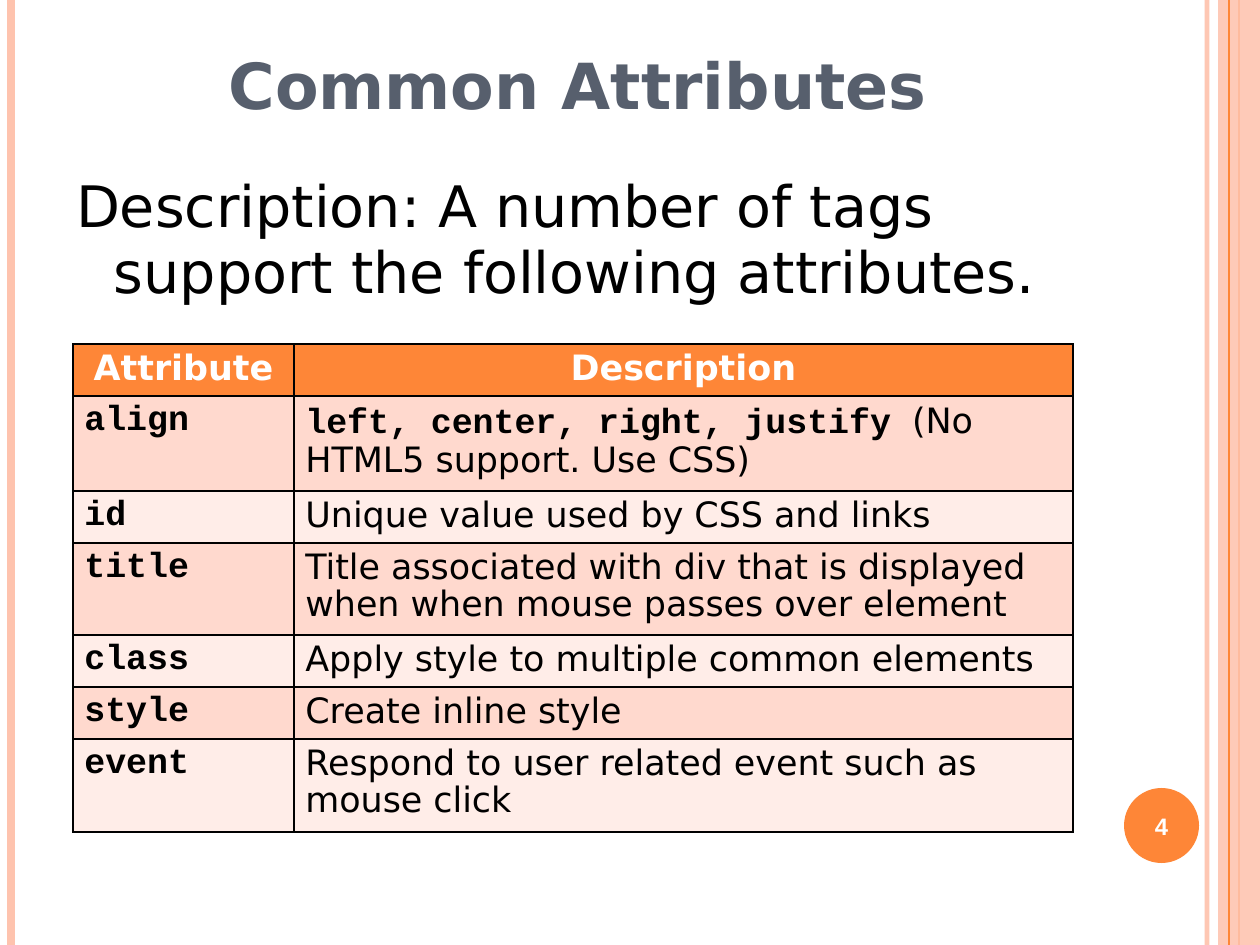
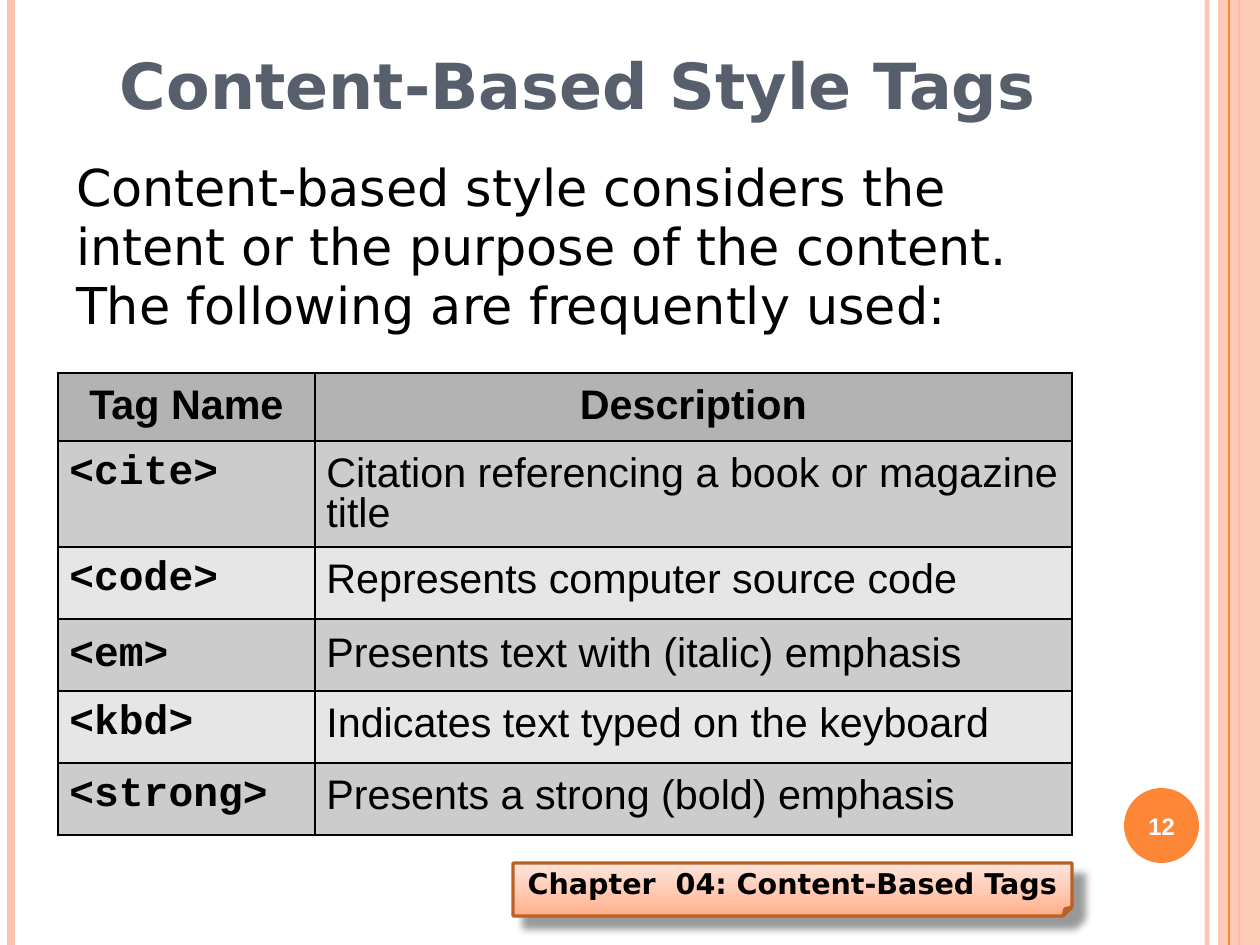
from dataclasses import dataclass

from lxml import etree
from pptx import Presentation
from pptx import util as u
from pptx.dml.color import RGBColor
from pptx.enum import shapes, text
from pptx.oxml import ns, parse_xml

# ---- Content: lengths are pixels, each cell is a list of (words, style) runs ----
ATTRIBUTES = {
    "head": ("Attribute", "Description"),
    "rows": [
        ("align", [("left, center, right, justify ", "code"),
                   ("(No HTML5 support. Use CSS)", "plain")]),
        ("id", [("Unique value used by CSS and links", "plain")]),
        ("title", [("Title associated with div that is displayed when when mouse "
                    "passes over element", "plain")]),
        ("class", [("Apply style to multiple common elements", "plain")]),
        ("style", [("Create inline style", "plain")]),
        ("event", [("Respond to user related event such as mouse click", "plain")]),
    ],
    "corner": (73, 344), "columns": (221, 779),
    "heights": (52, 95, 52, 92, 52, 52, 93),
    "size": 22, "font": "DejaVu Sans",
    "head_colours": ("FE8637", "FFFFFF"), "stripes": ("FFD9CE", "FFEDE8"),
    # top margin and line spacing of the two columns
    "head_setting": (6, 0.93), "settings": ((6, 0.93), (6, 0.93)), "special": {},
}
TAGS = {
    "head": ("Tag Name", "Description"),
    "rows": [
        ("<cite>", [("Citation referencing a book or magazine title", "plain")]),
        ("<code>", [("Represents computer source code", "plain")]),
        ("<em>", [("Presents text with (italic) emphasis", "plain")]),
        ("<kbd>", [("Indicates text typed on the keyboard", "plain")]),
        ("<strong>", [("Presents a strong (bold) emphasis", "plain")]),
    ],
    "corner": (58, 373), "columns": (257, 757),
    "heights": (68, 106, 72, 72, 72, 72),
    "size": 26, "font": "Arial",
    "head_colours": ("B3B3B3", "000000"), "stripes": ("CCCCCC", "E6E6E6"),
    "head_setting": (14, 0.87), "settings": ((9, 0.94), (14, 0.87)),
    "special": {"<em>": ((15, 0.87), (19, 0.81))},
}
SLIDES = [
    {"title": "Common Attributes", "number": "4",
     "intro": "Description: A number of tags support the following attributes.",
     "intro_box": (63, 173, 1039, 171), "intro_size": 36, "hanging": (38, -42),
     "table": ATTRIBUTES, "chapter": None},
    {"title": "Content-Based Style Tags", "number": "12",
     "intro": "Content-based style considers the intent or the purpose of the "
              "content. The following are frequently used:",
     "intro_box": (63, 158, 1039, 214), "intro_size": 32, "hanging": (0, 0),
     "table": TAGS, "chapter": "Chapter  04: Content-Based Tags"},
]


@dataclass(frozen=True)
class Theme:
    """Colours, fonts and type sizes shared by the slides."""
    sans: str = "DejaVu Sans"
    code: str = "Courier New"
    label: str = "Arial"
    heading: str = "575F6D"
    ink: str = "000000"
    white: str = "FFFFFF"
    orange: str = "FE8637"
    peach: str = "FEC3AE"
    rust: str = "BB6126"
    glow: tuple = ((0, "FFAE87"), (50, "FFCCB7"), (100, "FFE5DC"))
    title_size: int = 40
    chapter_size: int = 18
    number_size: int = 15


THEME = Theme()
WIDTH, HEIGHT = 1260, 945
TITLE_BOX = (63, 38, 1029, 91)
NUMBER_DISC = (1124, 788, 75, 75)
CHAPTER_BOX = (513, 863, 559, 53)
EDGE_BAND = (1218, 0, 42, HEIGHT)
RULES_BELOW = [(1207, THEME.peach, 3, 93), (11, THEME.peach, 4.5, 100),
               (1239, THEME.orange, 1.5, 100)]
RULES_ABOVE = [(1229, THEME.orange, 0.75, 100)]


def px(length):
    """Turn pixels into EMU."""
    return u.Emu(int(length * 8000))


def rgb(colour):
    """Turn a hex string into a colour."""
    return RGBColor.from_string(colour)


def set_alpha(properties, percent):
    """Make every colour of the shape properties partly transparent."""
    for colour in properties.iter(ns.qn("a:srgbClr")):
        etree.SubElement(colour, ns.qn("a:alpha"), val=str(percent * 1000))


def add_run(paragraph, words, font, size, colour, bold=False):
    """Append one run with its full type setting."""
    run = paragraph.add_run()
    run.text = words
    run.font.name, run.font.size, run.font.bold = font, u.Pt(size), bold
    run.font.color.rgb = rgb(colour)


def set_margins(holder, left, top, right, bottom):
    """Set the inner margins of a text frame or a cell."""
    holder.margin_left, holder.margin_top = px(left), px(top)
    holder.margin_right, holder.margin_bottom = px(right), px(bottom)


def add_text_box(slide, box, margins):
    """Add a wrapping text box and return its frame."""
    frame = slide.shapes.add_textbox(*map(px, box)).text_frame
    frame.word_wrap = True
    set_margins(frame, *margins)
    return frame


def add_rule(slide, x, colour, weight, opacity):
    """Draw a full-height vertical line."""
    rule = slide.shapes.add_connector(
        shapes.MSO_CONNECTOR.STRAIGHT, px(x), 0, px(x), px(HEIGHT))
    rule.line.color.rgb, rule.line.width = rgb(colour), u.Pt(weight)
    properties = rule._element.spPr
    if opacity < 100:
        set_alpha(properties, opacity)
    etree.SubElement(properties, ns.qn("a:effectLst"))


def add_flat_shape(slide, preset, box, colour):
    """Add a filled shape with neither outline nor shadow."""
    shape = slide.shapes.add_shape(preset, *map(px, box))
    shape.shadow.inherit = False
    shape.fill.solid()
    shape.fill.fore_color.rgb = rgb(colour)
    shape.line.fill.background()
    return shape


def add_frame(slide, title, number):
    """Draw the side bands, page number and title of every slide."""
    for rule in RULES_BELOW:
        add_rule(slide, *rule)
    band = add_flat_shape(slide, shapes.MSO_SHAPE.RECTANGLE, EDGE_BAND, THEME.peach)
    set_alpha(band._element.spPr, 87)
    for rule in RULES_ABOVE:
        add_rule(slide, *rule)

    disc = add_flat_shape(slide, shapes.MSO_SHAPE.OVAL, NUMBER_DISC, THEME.orange)
    set_margins(disc.text_frame, 0, 0, 0, 0)
    disc.text_frame.vertical_anchor = text.MSO_ANCHOR.MIDDLE
    page = disc.text_frame.paragraphs[0]
    page.alignment = text.PP_ALIGN.CENTER
    add_run(page, number, THEME.label, THEME.number_size, THEME.white, True)

    frame = add_text_box(slide, TITLE_BOX, (13, 5, 13, 7))
    frame.vertical_anchor = text.MSO_ANCHOR.BOTTOM
    heading = frame.paragraphs[0]
    heading.alignment = text.PP_ALIGN.CENTER
    add_run(heading, title, THEME.sans, THEME.title_size, THEME.heading, True)


def add_intro(slide, words, box, size, hanging):
    """Write the introduction above the table."""
    intro = add_text_box(slide, box, (13, 1, 13, 7)).paragraphs[0]
    intro.line_spacing, intro.space_before = 0.97, u.Pt(6.6)
    margin, indent = map(px, hanging)
    properties = intro._p.get_or_add_pPr()
    properties.set("marL", str(margin))
    properties.set("indent", str(indent))
    add_run(intro, words, THEME.sans, size, THEME.ink)


def fill_cell(cell, background, setting):
    """Give a cell its borders, fill and margins; return its paragraph."""
    properties = cell._tc.get_or_add_tcPr()
    for side in ("lnL", "lnR", "lnT", "lnB"):
        border = etree.SubElement(properties, ns.qn("a:" + side), w=str(u.Pt(1)))
        paint = etree.SubElement(border, ns.qn("a:solidFill"))
        etree.SubElement(paint, ns.qn("a:srgbClr"), val=THEME.ink)
    cell.fill.solid()
    cell.fill.fore_color.rgb = rgb(background)
    top, spacing = setting
    set_margins(cell, 11.43, top, 11.43, 5.7)
    paragraph = cell.text_frame.paragraphs[0]
    paragraph.line_spacing = spacing
    return paragraph


def add_reference_table(slide, data):
    """Build a two-column table with a heading row and striped rows."""
    columns, heights = data["columns"], data["heights"]
    size, font = data["size"], data["font"]
    table = slide.shapes.add_table(
        len(heights), len(columns), *map(px, data["corner"]),
        px(sum(columns)), px(sum(heights))).table
    table.first_row = table.horz_banding = False
    for column, width in zip(table.columns, columns):
        column.width = px(width)
    for row, height in zip(table.rows, heights):
        row.height = px(height)

    background, ink = data["head_colours"]
    for c, words in enumerate(data["head"]):
        heading = fill_cell(table.cell(0, c), background, data["head_setting"])
        heading.alignment = text.PP_ALIGN.CENTER
        add_run(heading, words, font, size, ink, True)

    for r, (name, description) in enumerate(data["rows"], 1):
        stripe = data["stripes"][(r - 1) % 2]
        settings = data["special"].get(name, data["settings"])
        for c, runs in enumerate(([(name, "code")], description)):
            entry = fill_cell(table.cell(r, c), stripe, settings[c])
            for words, style in runs:
                is_code = style == "code"
                add_run(entry, words, THEME.code if is_code else font, size,
                        THEME.ink, is_code)


def add_chapter(slide, words):
    """Add the folded chapter label with its gradient and shadow."""
    label = slide.shapes.add_shape(shapes.MSO_SHAPE.FOLDED_CORNER, *map(px, CHAPTER_BOX))
    label.line.color.rgb, label.line.width = rgb(THEME.rust), u.Pt(2)
    label.shadow.inherit = False
    properties = label._element.spPr
    stops = "".join(f'<a:gs pos="{at * 1000}"><a:srgbClr val="{colour}"/></a:gs>'
                    for at, colour in THEME.glow)
    gradient = parse_xml(f'<a:gradFill {ns.nsdecls("a")}><a:gsLst>{stops}</a:gsLst>'
                         '<a:lin ang="16200000" scaled="0"/></a:gradFill>')
    properties.find(ns.qn("a:prstGeom")).addnext(gradient)
    properties.find(ns.qn("a:effectLst")).append(parse_xml(
        f'<a:outerShdw {ns.nsdecls("a")} blurRad="{u.Pt(5)}" dist="{u.Pt(10)}" '
        'dir="2700000" algn="tl" rotWithShape="0">'
        f'<a:srgbClr val="{THEME.ink}"><a:alpha val="40000"/></a:srgbClr></a:outerShdw>'))
    frame = label.text_frame
    frame.word_wrap = False
    frame.vertical_anchor = text.MSO_ANCHOR.MIDDLE
    chapter = frame.paragraphs[0]
    chapter.alignment, chapter.line_spacing = text.PP_ALIGN.CENTER, 0.93
    add_run(chapter, words, THEME.sans, THEME.chapter_size, THEME.ink, True)


def build():
    """Build and save the presentation."""
    deck = Presentation()
    deck.slide_width, deck.slide_height = px(WIDTH), px(HEIGHT)
    for page in SLIDES:
        slide = deck.slides.add_slide(deck.slide_layouts[6])
        add_frame(slide, page["title"], page["number"])
        add_intro(slide, page["intro"], page["intro_box"], page["intro_size"],
                  page["hanging"])
        add_reference_table(slide, page["table"])
        if page["chapter"]:
            add_chapter(slide, page["chapter"])
    deck.save("out.pptx")


build()
